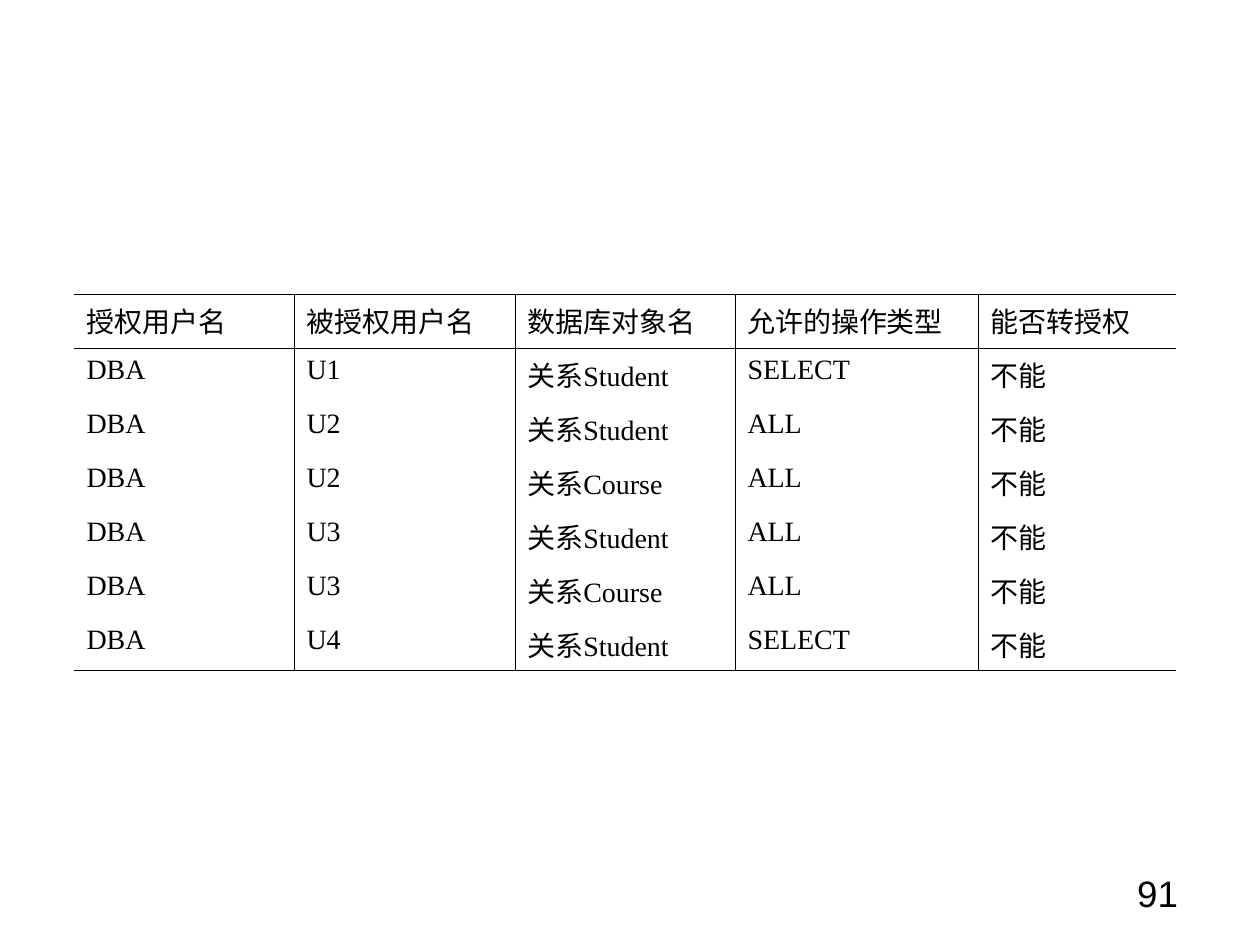
import pptx
import pptx.dml.color
import pptx.enum.text
import pptx.oxml.ns
import pptx.util
from lxml import etree

HEADER = ["授权用户名", "被授权用户名", "数据库对象名", "允许的操作类型", "能否转授权"]
GRANTS = [
    ("U1", "Student", "SELECT"),
    ("U2", "Student", "ALL"),
    ("U2", "Course", "ALL"),
    ("U3", "Student", "ALL"),
    ("U3", "Course", "ALL"),
    ("U4", "Student", "SELECT"),
]
ROWS = [HEADER] + [["DBA", user, "关系" + relation, action, "不能"]
                   for user, relation, action in GRANTS]
COL_WIDTHS = [220, 221, 220, 243, 198]
ROW_HEIGHTS = [54] * 6 + [49]
PAGE_NUMBER = "91"
BLACK = "000000"
qn = pptx.oxml.ns.qn


def px(n):
    return pptx.util.Emu(round(n * 914400 / 126))


def color(value):
    return pptx.dml.color.RGBColor.from_string(value)


def style(p, size, font):
    for r in p.runs:
        r.font.size = pptx.util.Pt(size)
        r.font.name = font
        r.font.color.rgb = color(BLACK)


def add_border(cell, side, visible):
    ln = etree.SubElement(cell._tc.get_or_add_tcPr(), qn("a:ln" + side))
    ln.set("w", str(pptx.util.Pt(0.45)))
    if visible:
        fill = etree.SubElement(ln, qn("a:solidFill"))
        etree.SubElement(fill, qn("a:srgbClr")).set("val", BLACK)
    else:
        etree.SubElement(ln, qn("a:noFill"))


prs = pptx.Presentation()
prs.slide_width, prs.slide_height = px(1260), px(945)
s = prs.slides.add_slide(prs.slide_layouts[6])

# Table of granted privileges
table = s.shapes.add_table(len(ROWS), len(HEADER), px(74), px(294),
                           px(sum(COL_WIDTHS)), px(sum(ROW_HEIGHTS))).table
table.first_row = table.horz_banding = False
for column, width in zip(table.columns, COL_WIDTHS):
    column.width = px(width)
for row, height in zip(table.rows, ROW_HEIGHTS):
    row.height = px(height)

last_row, last_col = len(ROWS) - 1, len(HEADER) - 1
for i, texts in enumerate(ROWS):
    for j, text in enumerate(texts):
        cell = table.cell(i, j)
        cell.text_frame.text = text
        p = cell.text_frame.paragraphs[0]
        pPr = p._p.get_or_add_pPr()
        pPr.set("marL", str(px(48)))
        pPr.set("indent", str(-px(48)))
        style(p, 16, "Times New Roman")
        # Rules between columns, around the header and under the last row
        add_border(cell, "L", j > 0)
        add_border(cell, "R", j < last_col)
        add_border(cell, "T", i < 2)
        add_border(cell, "B", i in (0, last_row))
        cell.fill.background()

# Page number
tf = s.shapes.add_textbox(px(903), px(861), px(294), px(66)).text_frame
tf.word_wrap = True
tf.margin_left = tf.margin_right = px(19)
tf.margin_top = tf.margin_bottom = px(10)
tf.text = PAGE_NUMBER
tf.paragraphs[0].alignment = pptx.enum.text.PP_ALIGN.RIGHT
style(tf.paragraphs[0], 21, "Arial")

prs.save("out.pptx")
